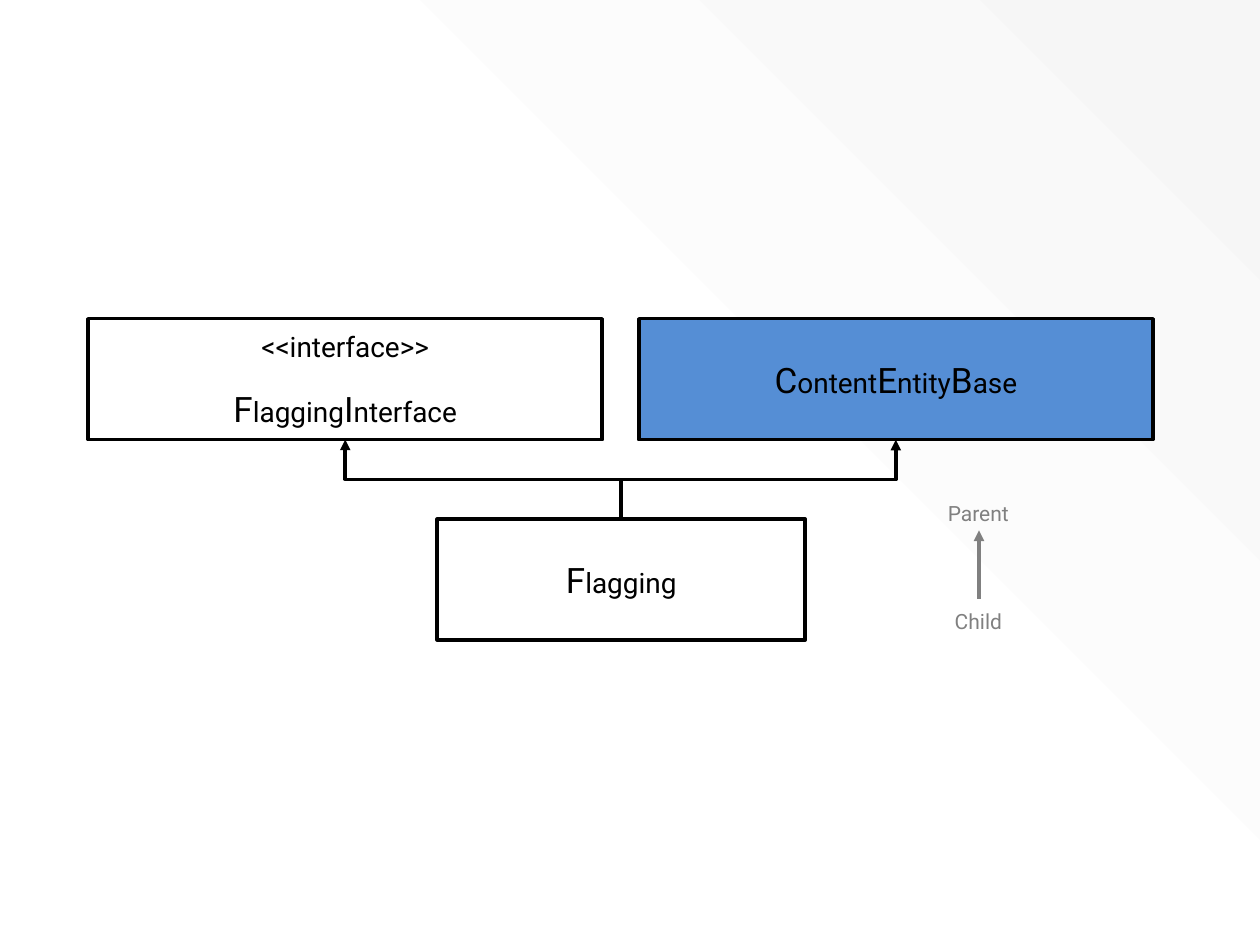
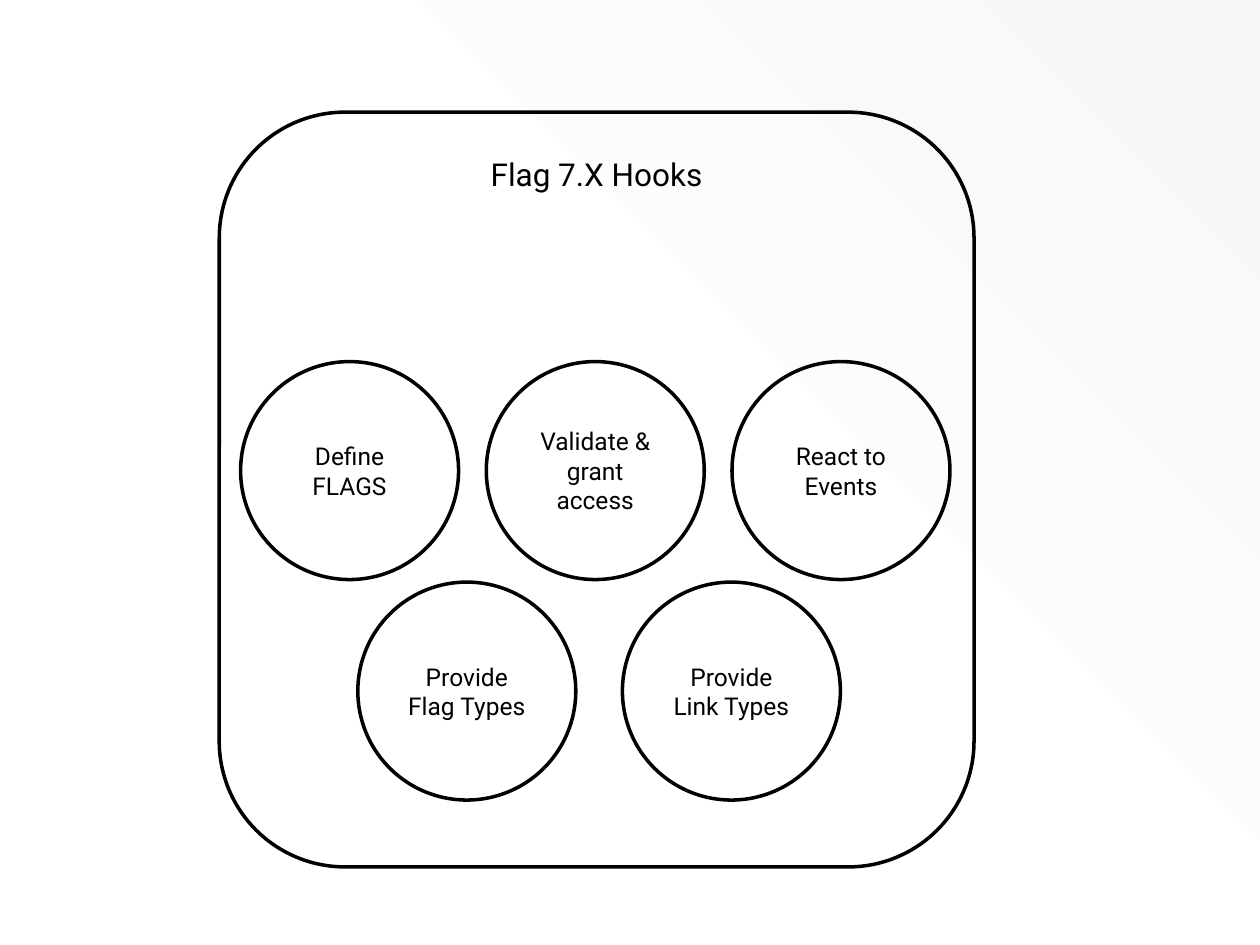
from dataclasses import dataclass
from itertools import groupby

from lxml import etree
from pptx import Presentation
from pptx.dml.color import RGBColor
from pptx.enum.shapes import MSO_CONNECTOR, MSO_SHAPE
from pptx.enum.text import MSO_ANCHOR, PP_ALIGN
from pptx.oxml.ns import qn
from pptx.util import Inches, Pt

RECTANGLE = MSO_SHAPE.RECTANGLE
ROUNDED = MSO_SHAPE.ROUNDED_RECTANGLE
OVAL = MSO_SHAPE.OVAL
STRAIGHT, ELBOW = MSO_CONNECTOR.STRAIGHT, MSO_CONNECTOR.ELBOW
CENTER = PP_ALIGN.CENTER
TOP, MIDDLE = MSO_ANCHOR.TOP, MSO_ANCHOR.MIDDLE
TOP_SITE, BOTTOM_SITE = 0, 2
BLANK_LAYOUT = 6
SLIDE_WIDTH, SLIDE_HEIGHT = 10, 7.5


@dataclass(frozen=True)
class Theme:
    font: str = "Roboto"
    ink: str = "000000"
    muted: str = "808080"
    accent: str = "558ED5"
    bands: tuple = ("FCFCFC", "F9F9F9", "F6F6F6")
    line_width: int = 2
    heading: int = 18
    capital: int = 20
    class_name: int = 16
    circle: int = 14
    legend: int = 12
    stereotype_gap: int = 14


class Deck:
    """Holds the theme and the current slide."""

    def __init__(self, theme):
        self.theme = theme
        self.presentation = Presentation()
        self.presentation.slide_width = Inches(SLIDE_WIDTH)
        self.presentation.slide_height = Inches(SLIDE_HEIGHT)
        self.slide = None

    def add_slide(self):
        layout = self.presentation.slide_layouts[BLANK_LAYOUT]
        self.slide = self.presentation.slides.add_slide(layout)
        # Diagonal bands, darker towards the top right corner
        step = SLIDE_WIDTH / 9
        for index, color in enumerate(self.theme.bands):
            start = step * (3 + 2 * index)
            self.band(start, color)

    def band(self, start, color):
        builder = self.slide.shapes.build_freeform(Inches(start), 0)
        corners = [(SLIDE_WIDTH, 0), (SLIDE_WIDTH, SLIDE_WIDTH - start)]
        builder.add_line_segments([(Inches(x), Inches(y)) for x, y in corners])
        shape = builder.convert_to_shape()
        shape.shadow.inherit = False
        shape.fill.solid()
        shape.fill.fore_color.rgb = RGBColor.from_string(color)
        shape.line.fill.background()

    def style_paragraph(self, paragraph, size, color):
        paragraph.alignment = CENTER
        paragraph.font.name = self.theme.font
        paragraph.font.size = Pt(size)
        paragraph.font.color.rgb = RGBColor.from_string(color)

    def outline(self, kind, left, top, width, height, fill=None):
        shape = self.slide.shapes.add_shape(
            kind, Inches(left), Inches(top), Inches(width), Inches(height))
        shape.shadow.inherit = False
        if fill:
            shape.fill.solid()
            shape.fill.fore_color.rgb = RGBColor.from_string(fill)
        else:
            shape.fill.background()
        self.style_line(shape.line, self.theme.ink)
        return shape

    def style_line(self, line, color):
        line.width = Pt(self.theme.line_width)
        line.color.rgb = RGBColor.from_string(color)

    def labelled_shape(self, kind, text, size, box, anchor=MIDDLE):
        shape = self.outline(kind, *box)
        shape.text_frame.vertical_anchor = anchor
        paragraph = shape.text_frame.paragraphs[0]
        paragraph.text = text
        self.style_paragraph(paragraph, size, self.theme.ink)

    def class_box(self, name, left, top, width, stereotype=None, fill=None):
        shape = self.outline(RECTANGLE, left, top, width, 0.96, fill)
        frame = shape.text_frame
        frame.vertical_anchor = MIDDLE
        paragraph = frame.paragraphs[0]
        if stereotype:
            paragraph.text = stereotype
            self.style_paragraph(paragraph, self.theme.class_name, self.theme.ink)
            paragraph.space_after = Pt(self.theme.stereotype_gap)
            paragraph = frame.add_paragraph()
        self.style_paragraph(paragraph, self.theme.class_name, self.theme.ink)
        # Capitals are set larger than the other letters
        for is_capital, letters in groupby(name, str.isupper):
            run = paragraph.add_run()
            run.text = "".join(letters)
            if is_capital:
                run.font.size = Pt(self.theme.capital)
        return shape

    def text(self, text, left, top, width, height):
        box = self.slide.shapes.add_textbox(
            Inches(left), Inches(top), Inches(width), Inches(height))
        box.text_frame.word_wrap = True
        paragraph = box.text_frame.paragraphs[0]
        paragraph.text = text
        self.style_paragraph(paragraph, self.theme.legend, self.theme.muted)

    def arrow(self, kind, begin, end, color):
        connector = self.slide.shapes.add_connector(kind, *begin, *end)
        self.style_line(connector.line, color)
        properties = connector.element.spPr
        line = properties.find(qn("a:ln"))
        etree.SubElement(line, qn("a:tailEnd"), type="triangle")
        etree.SubElement(properties, qn("a:effectLst"))
        return connector

    def inherit_arrow(self, child, parent):
        """Elbow arrow from the child's top to the parent's bottom."""
        begin = (child.left + child.width // 2, child.top)
        end = (parent.left + parent.width // 2, parent.top + parent.height)
        connector = self.arrow(ELBOW, begin, end, self.theme.ink)
        connector.begin_connect(child, TOP_SITE)
        connector.end_connect(parent, BOTTOM_SITE)
        # Turn the elbow so that it leaves and arrives vertically
        across, rise = abs(end[0] - begin[0]), begin[1] - end[1]
        connector.left = (begin[0] + end[0] - rise) // 2
        connector.top = (begin[1] + end[1] - across) // 2
        connector.width, connector.height = rise, across
        transform = connector.element.spPr.xfrm
        transform.rot = 270
        transform.flipH = False
        transform.flipV = end[0] < begin[0]

    def circle_row(self, labels, left, top, pitch):
        diameter = 1.73
        for index, label in enumerate(labels):
            box = (left + index * pitch, top, diameter, diameter)
            self.labelled_shape(OVAL, label, self.theme.circle, box)


def build_class_diagram(deck):
    theme = deck.theme
    deck.add_slide()

    # Classes and inheritance
    flagging = deck.class_box("Flagging", 3.47, 4.12, 2.92)
    parents = [
        deck.class_box("FlaggingInterface", 0.7, 2.53, 4.08,
                       stereotype="<<interface>>"),
        deck.class_box("ContentEntityBase", 5.07, 2.53, 4.08,
                       fill=theme.accent),
    ]
    for parent in parents:
        deck.inherit_arrow(flagging, parent)

    # Legend
    legend_x = Inches(7.77)
    deck.arrow(STRAIGHT, (legend_x, Inches(4.75)), (legend_x, Inches(4.21)),
               theme.muted)
    for label, top in (("Parent", 3.92), ("Child", 4.78)):
        deck.text(label, 7.21, top, 1.11, 0.3)


def build_hooks(deck):
    deck.add_slide()

    # Frame with heading
    deck.labelled_shape(ROUNDED, "Flag 7.X Hooks", deck.theme.heading,
                        (1.74, 0.89, 5.99, 5.99), TOP)

    # Groups of hooks
    deck.circle_row(["Define FLAGS", "Validate & grant access",
                     "React to Events"], 1.91, 2.87, 1.95)
    deck.circle_row(["Provide Flag Types", "Provide Link Types"],
                    2.84, 4.62, 2.1)


def main():
    deck = Deck(Theme())
    build_class_diagram(deck)
    build_hooks(deck)
    deck.presentation.save("out.pptx")


if __name__ == "__main__":
    main()
